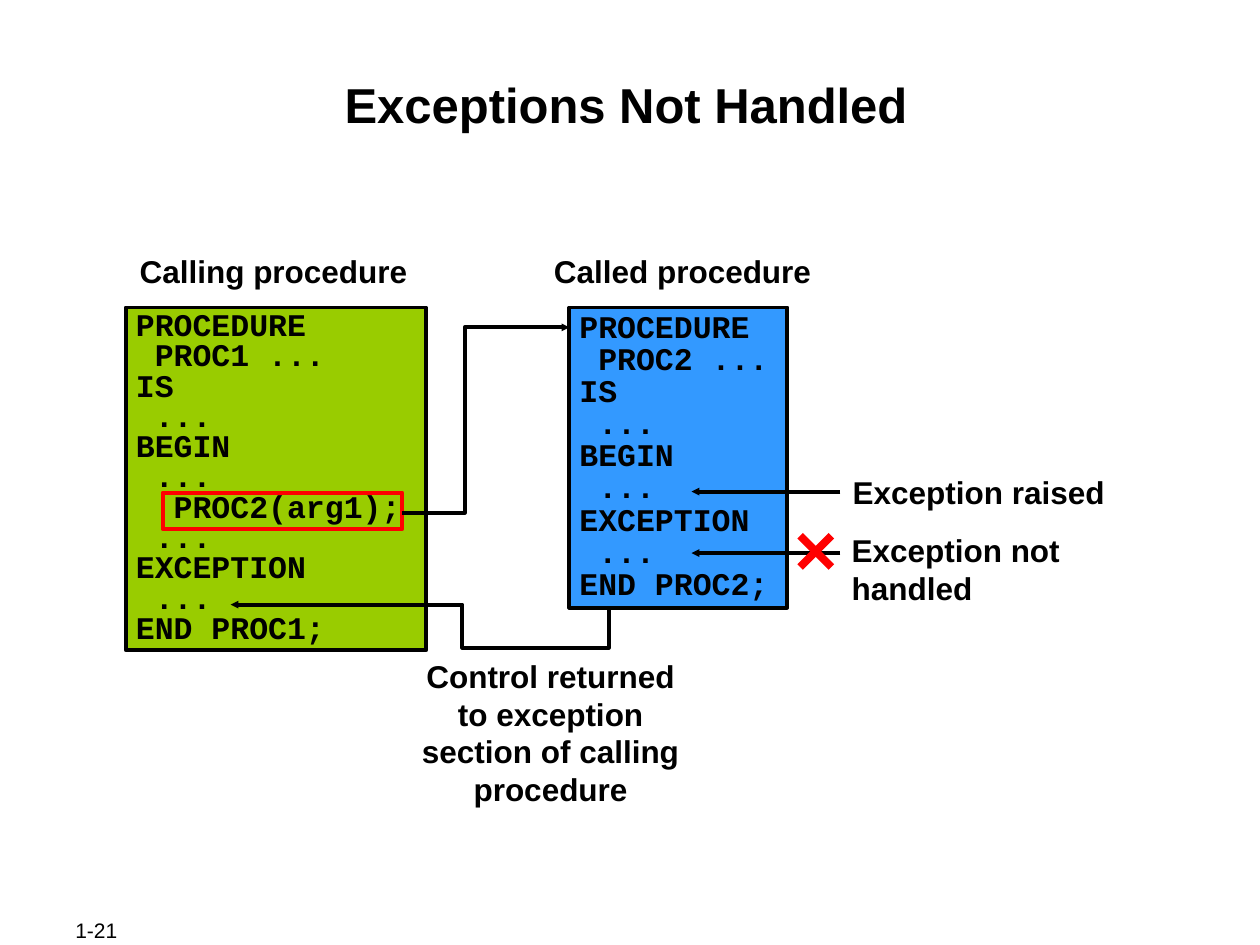
from dataclasses import dataclass

from lxml import etree
from pptx import Presentation
from pptx.dml.color import RGBColor
from pptx.enum.shapes import MSO_CONNECTOR, MSO_SHAPE
from pptx.enum.text import MSO_ANCHOR, MSO_AUTO_SIZE, PP_ALIGN
from pptx.oxml.ns import qn
from pptx.util import Cm, Pt

RECTANGLE = MSO_SHAPE.RECTANGLE
STRAIGHT = MSO_CONNECTOR.STRAIGHT
TOP, MIDDLE = MSO_ANCHOR.TOP, MSO_ANCHOR.MIDDLE
LEFT, CENTER = PP_ALIGN.LEFT, PP_ALIGN.CENTER
FIXED = MSO_AUTO_SIZE.NONE


@dataclass(frozen=True)
class Theme:
    ink: RGBColor = RGBColor(0x00, 0x00, 0x00)
    calling: RGBColor = RGBColor(0x99, 0xCC, 0x00)
    called: RGBColor = RGBColor(0x33, 0x99, 0xFF)
    alert: RGBColor = RGBColor(0xFF, 0x00, 0x00)
    text_font: str = "Arial"
    code_font: str = "Courier New"
    title_size: Pt = Pt(28)
    body_size: Pt = Pt(18)
    number_size: Pt = Pt(12)
    line: Pt = Pt(2.25)
    cross: Pt = Pt(4.5)


theme = Theme()


def write_text(box, lines, insets=(0.25, 0.13), align=LEFT, spacing=1.0,
               anchor=TOP, wrap=True, **font):
    """Fill a box with one paragraph per line; insets are (side, top) in cm."""
    frame = box.text_frame
    side, top = (Cm(inset) for inset in insets)
    frame_format = {
        "auto_size": FIXED, "word_wrap": wrap, "vertical_anchor": anchor,
        "margin_left": side, "margin_right": side,
        "margin_top": top, "margin_bottom": top,
    }
    for name, value in frame_format.items():
        setattr(frame, name, value)
    font_format = {"name": theme.text_font, "size": theme.body_size, "bold": True, **font}
    for index, line in enumerate(lines):
        para = frame.add_paragraph() if index else frame.paragraphs[0]
        para.alignment, para.line_spacing = align, spacing
        para.space_before = Pt(0)
        span = para.add_run()
        span.text = line
        span.font.color.rgb = theme.ink
        for name, value in font_format.items():
            setattr(span.font, name, value)


def draw_line(shape, color=theme.ink, width=theme.line, arrow=False):
    """Set a shape's outline, without shadow, and an optional end arrow."""
    shape.line.color.rgb = color
    shape.line.width = width
    if arrow:
        etree.SubElement(shape.line._get_or_add_ln(), qn("a:tailEnd"),
                         type="triangle", w="sm", len="sm")
    properties = shape._element.spPr
    if properties.find(qn("a:effectLst")) is None:
        etree.SubElement(properties, qn("a:effectLst"))


deck = Presentation()
deck.slide_width, deck.slide_height = Cm(25.4), Cm(19.05)
page = deck.slides.add_slide(deck.slide_layouts[5])
shapes = page.shapes

title = shapes.title
title.left, title.top, title.width, title.height = Cm(2.46), Cm(1.47), Cm(20.32), Cm(2.44)
write_text(title, ["Exceptions Not Handled"], insets=(0.03, 0.03), align=CENTER,
           size=theme.title_size)

# Code of the two procedures
procedures = [
    ((2.54, 6.2, 6.05, 6.91), theme.calling, 0.8,
     ["PROCEDURE", " PROC1 ...", "IS", " ...", "BEGIN", " ...", "  PROC2(arg1);",
      " ...", "EXCEPTION", " ...", "END PROC1;"]),
    ((11.48, 6.2, 4.39, 6.05), theme.called, 0.85,
     ["PROCEDURE", " PROC2 ...", "IS", " ...", "BEGIN", " ...", "EXCEPTION",
      " ...", "END PROC2;"]),
]
for place, color, spacing, code in procedures:
    box = shapes.add_shape(RECTANGLE, *map(Cm, place))
    box.fill.solid()
    box.fill.fore_color.rgb = color
    draw_line(box)
    write_text(box, code, insets=(0.2, 0.1), spacing=spacing, name=theme.code_font)

call_frame = shapes.add_shape(RECTANGLE, Cm(3.28), Cm(9.93), Cm(4.83), Cm(0.74))
call_frame.fill.background()
draw_line(call_frame, theme.alert)

# Labels
labels = [
    ("Calling procedure", (2.34, 5, 6.35, 0.99), CENTER, 0.95),
    ("Called procedure", (10.8, 5, 5.92, 0.99), CENTER, 0.95),
    ("Control returned to exception section of calling procedure",
     (8.23, 13.11, 5.74, 3.3), CENTER, 1.0),
    ("Exception raised", (16.94, 9.4, 5.72, 1.02), LEFT, 1.0),
    ("Exception not handled", (16.92, 10.57, 6.15, 1.78), LEFT, 1.0),
]
for label, place, align, spacing in labels:
    box = shapes.add_textbox(*map(Cm, place))
    write_text(box, [label], align=align, spacing=spacing)

page_number = shapes.add_textbox(Cm(1.27), Cm(18.49), Cm(2.69), Cm(0.51))
write_text(page_number, ["1-21"], anchor=MIDDLE, wrap=False,
           size=theme.number_size, bold=False)

# Call into the second procedure and return to the first
routes = [
    [(8.1, 10.34), (9.37, 10.34), (9.37, 6.6), (11.48, 6.6)],
    [(12.27, 12.25), (12.27, 13.06), (9.32, 13.06), (9.32, 12.19), (4.65, 12.19)],
]
for route in routes:
    start, *corners = [(Cm(x), Cm(y)) for x, y in route]
    builder = shapes.build_freeform(*start)
    builder.add_line_segments(corners, close=False)
    path_shape = builder.convert_to_shape()
    path_shape.fill.background()
    draw_line(path_shape, arrow=True)

# Exception arrows, the second one crossed out
straight_lines = [
    ((16.94, 9.91, 13.94, 9.91), theme.ink, theme.line, True),
    ((16.94, 11.15, 13.94, 11.15), theme.ink, theme.line, True),
    ((16.13, 10.8, 16.76, 11.43), theme.alert, theme.cross, False),
    ((16.76, 10.8, 16.13, 11.43), theme.alert, theme.cross, False),
]
for ends, color, width, arrow in straight_lines:
    draw_line(shapes.add_connector(STRAIGHT, *map(Cm, ends)), color, width, arrow)

deck.save("out.pptx")
